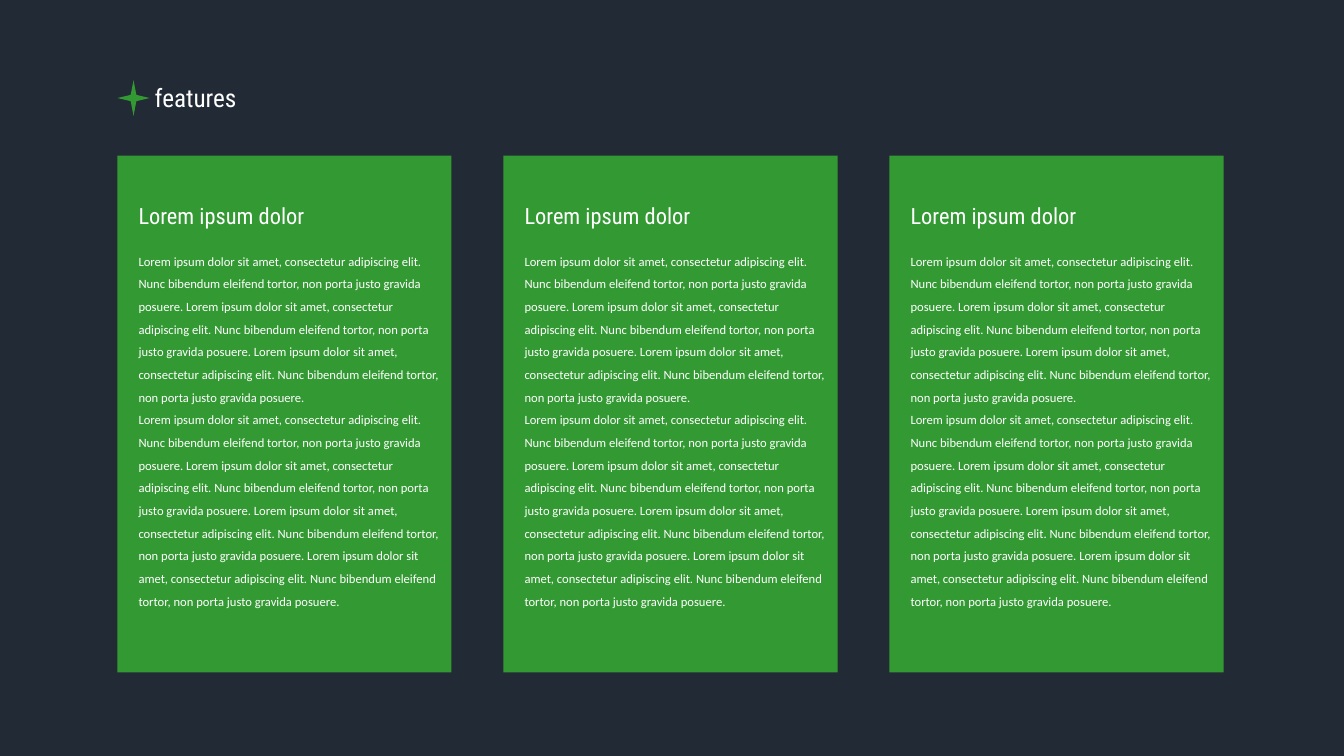
from pptx import Presentation
from pptx.dml.color import RGBColor
from pptx.enum.shapes import MSO_SHAPE
from pptx.enum.text import MSO_AUTO_SIZE
from pptx.util import Emu, Pt

PX = 9144  # 100 px to the inch
NAVY = RGBColor(0x22, 0x2A, 0x35)
GREEN = RGBColor(0x33, 0x99, 0x33)
WHITE = RGBColor(0xFF, 0xFF, 0xFF)
HEAD = "Roboto Condensed"
BODY = "Calibri"
LOREM = ("Lorem ipsum dolor sit amet, consectetur adipiscing elit. "
         "Nunc bibendum eleifend tortor, non porta justo gravida posuere.")

deck = Presentation()
deck.slide_width, deck.slide_height = Emu(2667 * PX), Emu(1500 * PX)
slide = deck.slides.add_slide(deck.slide_layouts[6])
slide.background.fill.solid()
slide.background.fill.fore_color.rgb = NAVY


def add_block(kind, *box):
    """Add a plain green shape; box is left, top, width, height in px."""
    shape = slide.shapes.add_shape(kind, *[Emu(n * PX) for n in box])
    shape.shadow.inherit = False
    shape.fill.solid()
    shape.fill.fore_color.rgb = GREEN
    shape.line.fill.background()


def add_text(lines, font, size, space, *box):
    """Add a white text box, one paragraph per line; box is in px."""
    frame = slide.shapes.add_textbox(*[Emu(n * PX) for n in box]).text_frame
    frame.word_wrap = True
    frame.auto_size = MSO_AUTO_SIZE.SHAPE_TO_FIT_TEXT
    frame.text = "\n".join(lines)
    for para in frame.paragraphs:
        para.line_spacing = space
        para.font.name = font
        para.font.size = Pt(size)
        para.font.color.rgb = WHITE


add_text(["features"], HEAD, 36, 1.0, 297, 159, 397, 71)
add_block(MSO_SHAPE.STAR_4_POINT, 233, 159, 64, 71)

paras = [" ".join([LOREM] * count) for count in (3, 4)]
for col in range(3):
    left = 233 + col * 766
    add_block(MSO_SHAPE.RECTANGLE, left, 309, 663, 1025)
    add_text(paras, BODY, 18, 1.5, left + 32, 483, 631, 919)
    add_text(["Lorem ipsum dolor"], HEAD, 32, 1.0, left + 32, 397, 511, 64)

deck.save("out.pptx")
